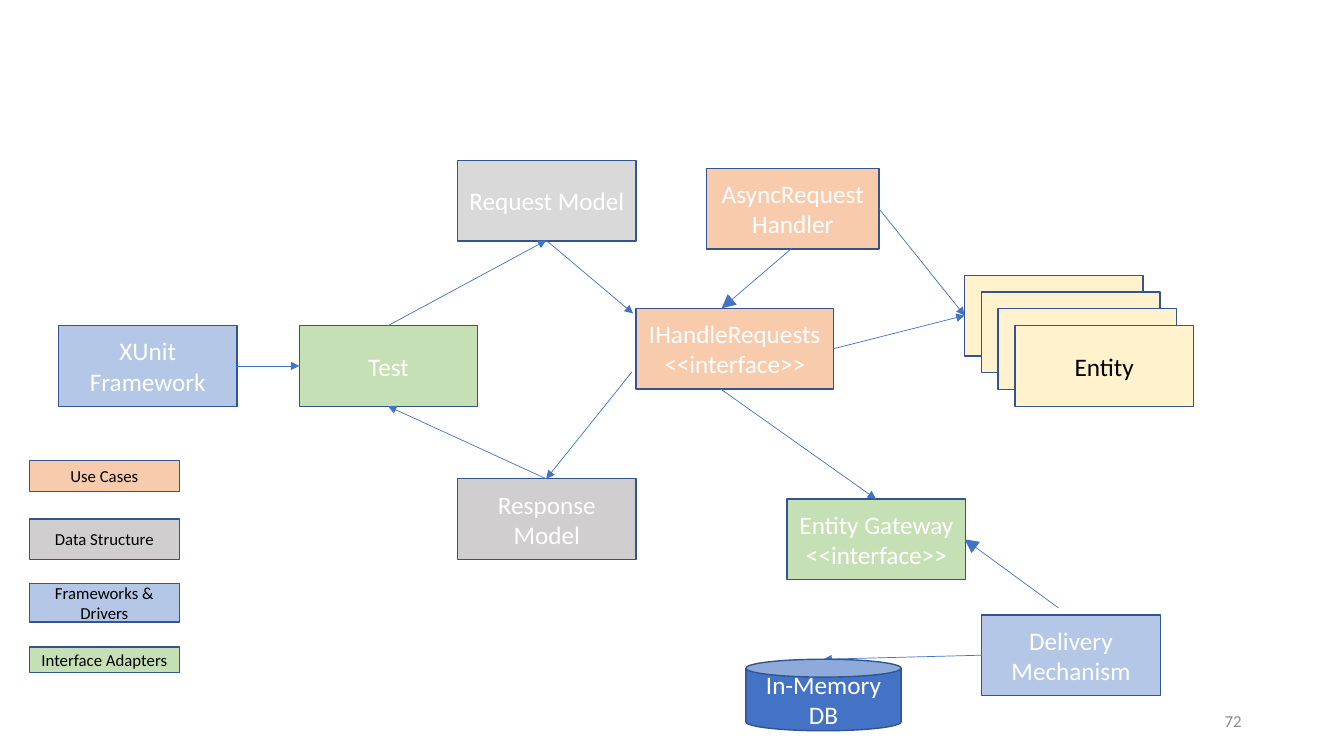
from lxml.etree import SubElement
from pptx import Presentation
from pptx.dml.color import RGBColor
from pptx.enum.shapes import MSO_CONNECTOR, MSO_SHAPE
from pptx.enum.text import MSO_ANCHOR, PP_ALIGN
from pptx.oxml.ns import qn
from pptx.util import Pt

USE_CASE = RGBColor(0xF8, 0xCB, 0xAD)
REQUEST_DATA = RGBColor(0xD9, 0xD9, 0xD9)
DATA = RGBColor(0xD0, 0xCE, 0xCE)
FRAMEWORK = RGBColor(0xB4, 0xC7, 0xE7)
ADAPTER = RGBColor(0xC5, 0xE0, 0xB4)
ENTITY = RGBColor(0xFF, 0xF2, 0xCC)
BLUE = RGBColor(0x44, 0x72, 0xC4)
BORDER = RGBColor(0x32, 0x54, 0x91)
WHITE = RGBColor(0xFF, 0xFF, 0xFF)
BLACK = RGBColor(0, 0, 0)
GRAY = RGBColor(0x8C, 0x8C, 0x8C)

BOX_WIDTH, BOX_HEIGHT = 127.5, 57.6

presentation = Presentation()
presentation.slide_width = Pt(960)
presentation.slide_height = Pt(540)
slide = presentation.slides.add_slide(presentation.slide_layouts[6])


def write_text(shape, text, size=18, color=WHITE, align=PP_ALIGN.CENTER):
    frame = shape.text_frame
    frame.word_wrap = True
    frame.vertical_anchor = MSO_ANCHOR.MIDDLE
    frame.text = text
    for paragraph in frame.paragraphs:
        paragraph.alignment = align
        paragraph.font.name = "Calibri"
        paragraph.font.size = Pt(size)
        paragraph.font.color.rgb = color


def add_box(left, top, fill, width=BOX_WIDTH, height=BOX_HEIGHT, kind=MSO_SHAPE.RECTANGLE):
    shape = slide.shapes.add_shape(kind, Pt(left), Pt(top), Pt(width), Pt(height))
    shape.shadow.inherit = False
    shape.fill.solid()
    shape.fill.fore_color.rgb = fill
    shape.line.color.rgb = BORDER
    shape.line.width = Pt(1)
    return shape


# Components
components = [
    ("XUnit\nFramework", 41.8, 232.6, BOX_WIDTH, FRAMEWORK),
    ("Test", 213.8, 232.6, BOX_WIDTH, ADAPTER),
    ("Request Model", 326.9, 114.5, BOX_WIDTH, REQUEST_DATA),
    ("Response Model", 326.9, 342, BOX_WIDTH, DATA),
    ("IHandleRequests\n<<interface>>", 454.3, 220.3, 141.1, USE_CASE),
    ("AsyncRequestHandler", 504.7, 120.2, 123.1, USE_CASE),
    ("Entity Gateway\n<<interface>>", 562.3, 356.4, BOX_WIDTH, ADAPTER),
    ("Delivery Mechanism", 701.3, 439.2, BOX_WIDTH, FRAMEWORK),
]
for text, left, top, width, fill in components:
    write_text(add_box(left, top, fill, width=width), text)

# Stack of entities, with the label on the front one
for step in range(4):
    entity = add_box(689 + 12 * step, 196.6 + 12 * step, ENTITY)
write_text(entity, "Entity", color=BLACK)

# Legend
legend = [
    ("Use Cases", 329, 22.3, USE_CASE),
    ("Data Structure", 370.8, 28.8, DATA),
    ("Frameworks & Drivers", 416.9, 27.4, FRAMEWORK),
    ("Interface Adapters", 462.2, 18, ADAPTER),
]
for text, top, height, fill in legend:
    write_text(add_box(20.9, top, fill, width=107.3, height=height), text, size=12, color=BLACK)

# Arrows: start, end, head size
arrows = [
    ((168.5, 261.4), (213.8, 261.4), "med"),  # framework to test
    ((277.2, 232.6), (390.2, 171.7), "med"),  # test to request
    ((390.2, 171.7), (452.2, 223.9), "med"),  # request to interface
    ((451.4, 265.7), (390.2, 342), "med"),  # interface to response
    ((390.2, 342), (277.2, 290.2), "med"),  # response to test
    ((565.9, 177.1), (515.5, 220.3), "lg"),  # handler to interface
    ((627.8, 149), (689, 225.4), "med"),  # handler to entity
    ((595.4, 249.1), (689, 225.4), "med"),  # interface to entity
    ((514.8, 277.9), (625.7, 356.4), "med"),  # interface to gateway
    ((756, 434.2), (689, 385.2), "lg"),  # delivery to gateway
    ((701.3, 468), (588.2, 470.9), "med"),  # delivery to database
]
for start, end, head_size in arrows:
    points = [Pt(value) for value in start + end]
    connector = slide.shapes.add_connector(MSO_CONNECTOR.STRAIGHT, *points)
    connector.line.color.rgb = BLUE
    connector.line.width = Pt(0.5)
    properties = connector.element.spPr
    SubElement(properties.find(qn("a:ln")), qn("a:tailEnd"),
               type="triangle", w=head_size, len=head_size)
    SubElement(properties, qn("a:effectLst"))

# Database
database = add_box(532.8, 470.9, BLUE, width=110.9, height=51.1, kind=MSO_SHAPE.CAN)
write_text(database, "In-Memory\nDB")

# Slide number
number = slide.shapes.add_textbox(Pt(678), Pt(500.5), Pt(216), Pt(28.8))
write_text(number, "72", size=12, color=GRAY, align=PP_ALIGN.RIGHT)

presentation.save("out.pptx")
